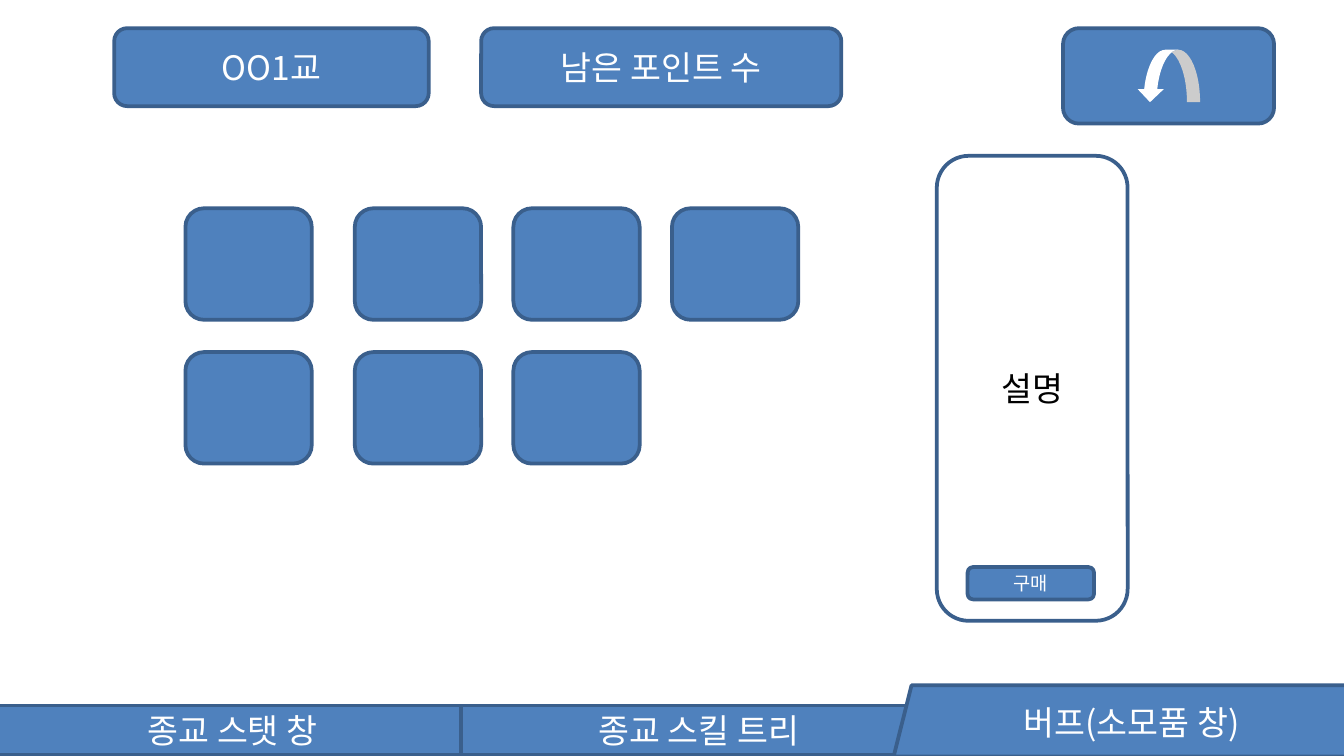
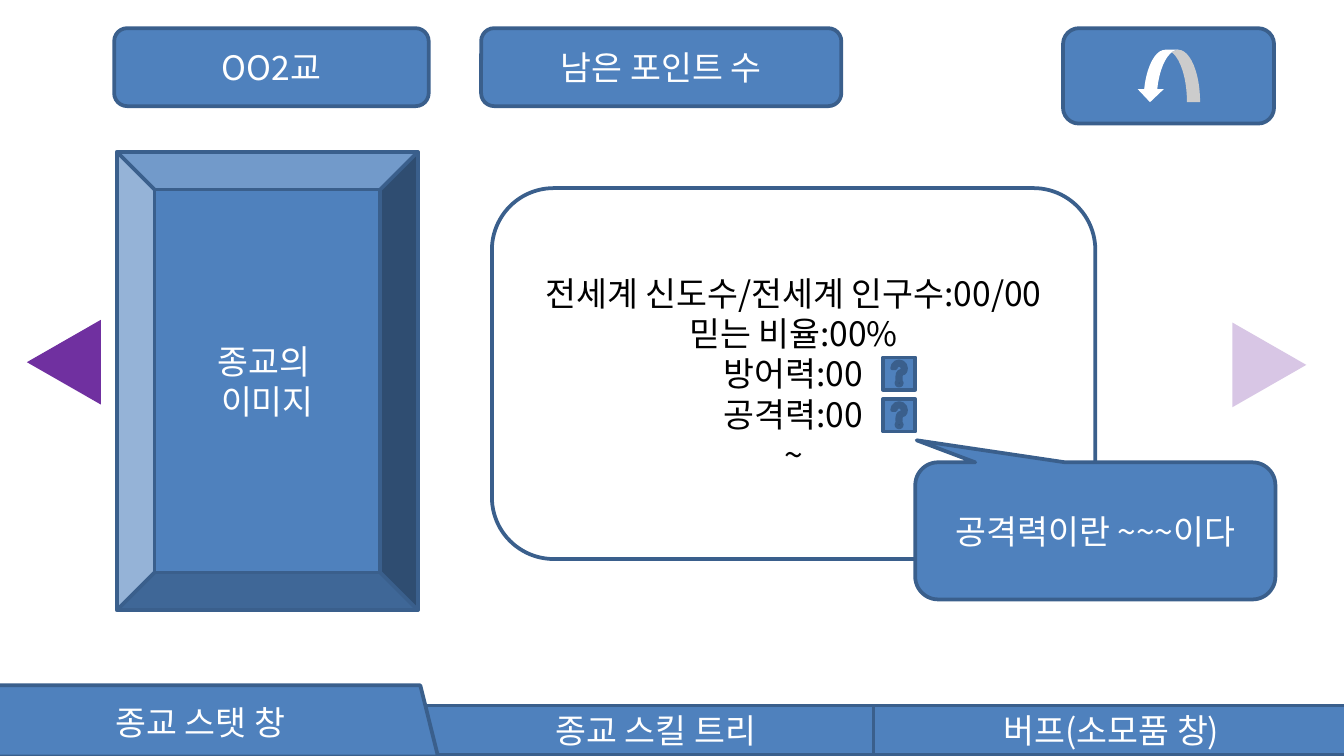
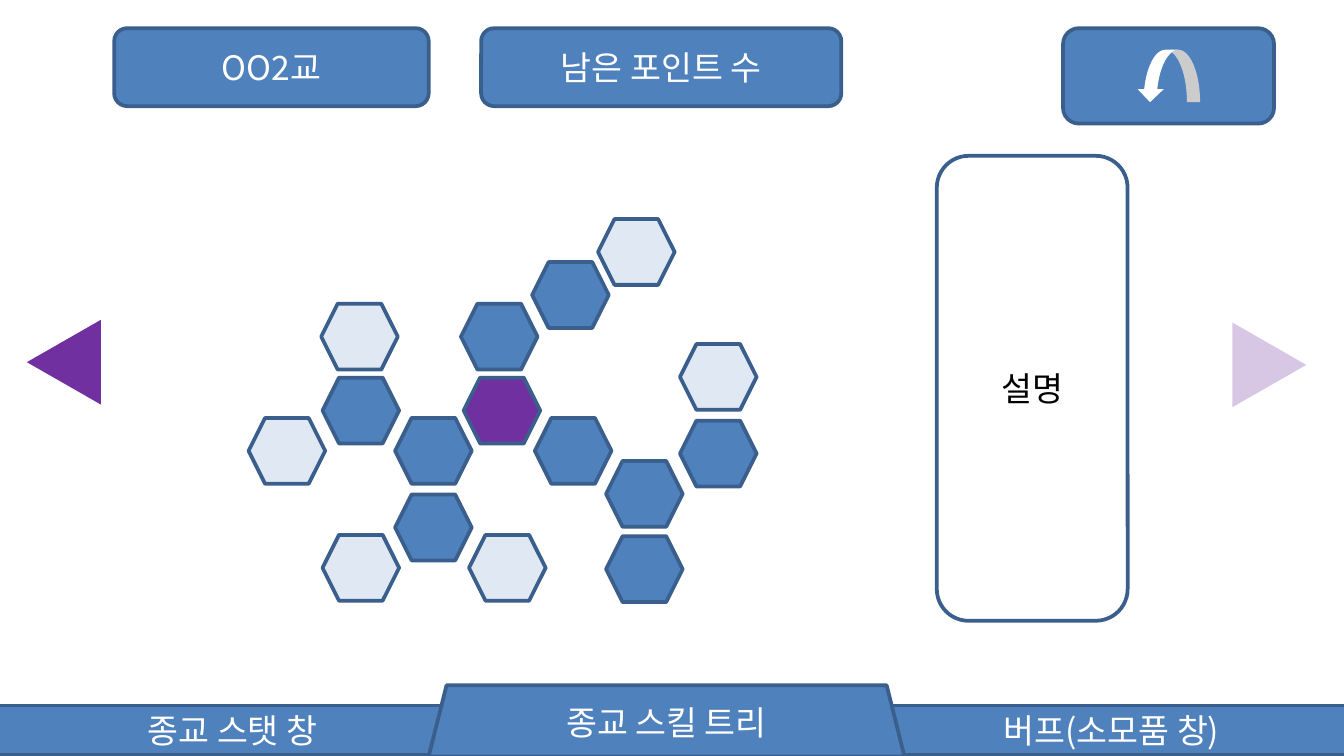
import pptx
import pptx.util
import pptx.dml.color
import pptx.enum.shapes
import pptx.enum.text
import pptx.oxml.ns
import lxml.etree

Inches = pptx.util.Inches
qn = pptx.oxml.ns.qn
SHAPE = pptx.enum.shapes.MSO_SHAPE
FONT = "Noto Sans CJK KR"
COLORS = {"blue": "4F81BD", "edge": "3A5F8C", "purple": "7030A0",
          "white": "FFFFFF", "black": "000000"}


def color(name):
    return pptx.dml.color.RGBColor.from_string(COLORS[name])


def add_box(page, kind, left, top, width, height, text="", fill="blue", line="edge",
            ink="white", size=18, alpha=None, flip=False):
    box = page.shapes.add_shape(kind, Inches(left), Inches(top), Inches(width), Inches(height))
    box.shadow.inherit = False
    if fill:
        box.fill.solid()
        box.fill.fore_color.rgb = color(fill)
    else:
        box.fill.background()
    if alpha is not None:
        tint = box._element.spPr.find(".//" + qn("a:srgbClr"))
        lxml.etree.SubElement(tint, qn("a:alpha"), val=str(alpha * 1000))
    if line:
        box.line.color.rgb = color(line)
        box.line.width = pptx.util.Pt(2)
    else:
        box.line.fill.background()
    if flip:
        box._element.spPr.xfrm.set("flipH", "1")
    if text:
        box.text_frame.text = text
        box.text_frame.vertical_anchor = pptx.enum.text.MSO_ANCHOR.MIDDLE
        for para in box.text_frame.paragraphs:
            para.alignment = pptx.enum.text.PP_ALIGN.CENTER
            para.font.name = FONT
            para.font.size = pptx.util.Pt(size)
            para.font.color.rgb = color(ink)
            # Korean letters take the East Asian typeface
            latin = para._p.pPr.find(".//" + qn("a:latin"))
            latin.addnext(latin.makeelement(qn("a:ea"), {"typeface": FONT}))
    return box


deck = pptx.Presentation()
deck.slide_width = Inches(10)
deck.slide_height = deck.slide_width * 9 // 16

# Each screen: religion name, left edges of the tabs, index of the open tab
TABS = ["종교 스탯 창", "종교 스킬 트리", "버프(소모품 창)"]
SCREENS = [("OO1교", [-0.04, 3.43, 6.65], 2),
           ("OO2교", [-0.28, 3.11, 6.5], 0),
           ("OO2교", [-0.04, 3.19, 6.5], 1)]
pages = []
for religion, tab_lefts, open_tab in SCREENS:
    page = deck.slides.add_slide(deck.slide_layouts[6])
    pages.append(page)

    # Bottom tabs, the open one in front
    for index in sorted(range(3), key=lambda tab: tab == open_tab):
        if index == open_tab:
            add_box(page, SHAPE.TRAPEZOID, tab_lefts[index], 5.1, 3.54, 0.53, TABS[index], flip=True)
        else:
            add_box(page, SHAPE.RECTANGLE, tab_lefts[index], 5.25, 3.54, 0.37, TABS[index])

    # Header: back button, religion, points left
    add_box(page, SHAPE.ROUNDED_RECTANGLE, 7.91, 0.21, 1.57, 0.71)
    add_box(page, SHAPE.CURVED_DOWN_ARROW, 8.46, 0.37, 0.47, 0.39, fill="white", line=None, flip=True)
    add_box(page, SHAPE.ROUNDED_RECTANGLE, 0.85, 0.21, 2.34, 0.58, religion)
    add_box(page, SHAPE.ROUNDED_RECTANGLE, 3.58, 0.21, 2.68, 0.58, "남은 포인트 수")

shop, stats, skills = pages

# Description panel
for page in (shop, skills):
    add_box(page, SHAPE.ROUNDED_RECTANGLE, 6.97, 1.16, 1.42, 3.46, "설명", fill=None, ink="black")

# Previous and next arrows, the next one dimmed by a veil
for page in (stats, skills):
    previous = add_box(page, SHAPE.ISOSCELES_TRIANGLE, 0.16, 2.42, 0.63, 0.55, fill="purple", line=None)
    previous.rotation = 270
    following = add_box(page, SHAPE.ISOSCELES_TRIANGLE, 9.13, 2.44, 0.63, 0.55,
                        fill="purple", line=None, flip=True)
    following.rotation = 90
    add_box(page, SHAPE.RECTANGLE, 8.94, 2.18, 0.94, 1.02, fill="white", line=None, alpha=73)

# Shop: buy button and item grid
add_box(shop, SHAPE.ROUNDED_RECTANGLE, 7.2, 4.22, 0.94, 0.24, "구매", size=10)
for top, lefts in [(1.55, [1.38, 2.64, 3.82, 5]), (2.62, [1.38, 2.64, 3.82])]:
    for left in lefts:
        add_box(shop, SHAPE.ROUNDED_RECTANGLE, left, top, 0.94, 0.83)

# Stats: portrait, figures, help buttons and explanation
add_box(stats, SHAPE.BEVEL, 0.87, 1.13, 2.24, 3.41, "종교의 \n이미지")
figures = ["전세계 신도수/전세계 인구수:00/00", "믿는 비율:00%", "방어력:00", "공격력:00", "~"]
add_box(stats, SHAPE.ROUNDED_RECTANGLE, 3.66, 1.4, 4.49, 2.76, "\n".join(figures),
        fill=None, ink="black")
for top in (2.66, 2.97):
    add_box(stats, SHAPE.ACTION_BUTTON_HELP, 6.57, top, 0.24, 0.24)
callout = add_box(stats, SHAPE.ROUNDED_RECTANGULAR_CALLOUT, 6.81, 3.44, 2.68, 1.02,
                  "공격력이란 ~~~이다")
for index, value in enumerate([-0.496, -0.661, 0.167]):
    callout.adjustments[index] = value

# Skill tree: the root, learned skills and locked skills
ROOT = [(3.45, 2.81)]
LEARNED = [(2.94, 3.11), (3.98, 3.11), (3.43, 2.26), (3.96, 1.95), (2.94, 3.68),
           (2.4, 2.81), (4.51, 3.43), (5.06, 3.13), (4.51, 3.99)]
LOCKED = [(1.85, 3.11), (2.39, 2.26), (4.45, 1.63), (2.4, 3.98), (3.49, 3.98), (5.06, 2.56)]
for cells, fill, alpha in [(ROOT, "purple", None), (LEARNED, "blue", None), (LOCKED, "blue", 18)]:
    for left, top in cells:
        add_box(skills, SHAPE.HEXAGON, left, top, 0.57, 0.49, fill=fill, alpha=alpha)

deck.save("out.pptx")
